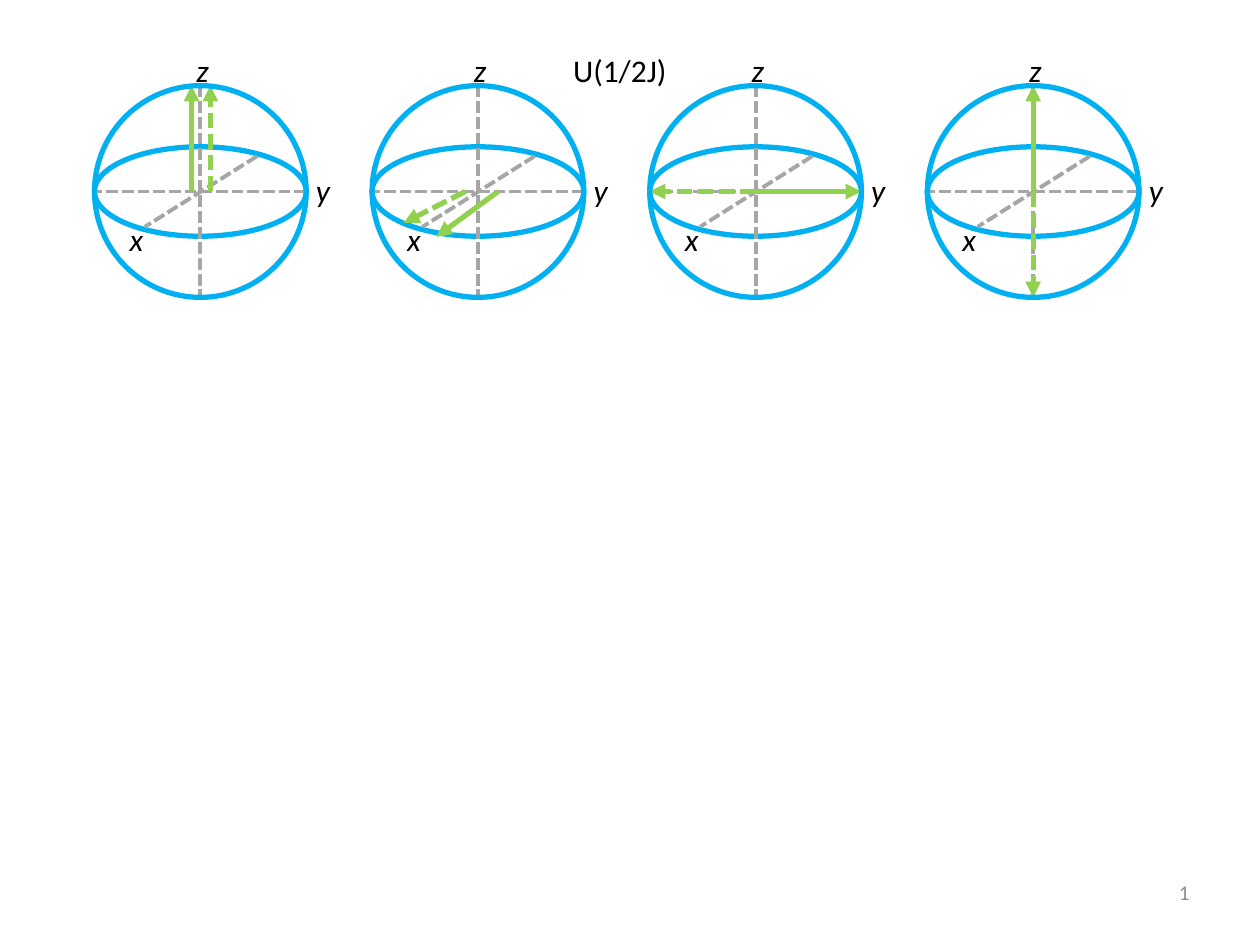
from lxml import etree
from pptx import Presentation
from pptx.dml.color import RGBColor
from pptx.enum.dml import MSO_LINE
from pptx.enum.shapes import MSO_CONNECTOR, MSO_SHAPE
from pptx.enum.text import MSO_ANCHOR, PP_ALIGN
from pptx.oxml.ns import qn
from pptx.util import Inches, Pt

OVAL = MSO_SHAPE.OVAL
STRAIGHT = MSO_CONNECTOR.STRAIGHT
DASH = MSO_LINE.SQUARE_DOT  # written to the file as sysDash
TOP, MIDDLE = MSO_ANCHOR.TOP, MSO_ANCHOR.MIDDLE
LEFT, RIGHT = PP_ALIGN.LEFT, PP_ALIGN.RIGHT

BLUE, GREEN, GRAY, BLACK, PALE = "00B0F0", "92D050", "A6A6A6", "000000", "8C8C8C"

FIRST_CENTER, LAST_CENTER, CENTER_Y = 1.59, 8.2, 1.52
RADIUS, EQUATOR_RADIUS = 0.84, 0.355

# Lines run from (x, y) to (x, y), measured from the centre of the sphere.
AXES = [
    (0, -RADIUS, 0, 0.82),
    (RADIUS, 0, -0.83, 0),
    (0.45, -0.28, -0.44, 0.28),
]
# One pair for each sphere: the solid vector, then the dashed one.
VECTORS = [
    [(-0.07, 0, -0.07, -RADIUS), (0.08, 0, 0.08, -RADIUS)],
    [(0.16, 0, -0.33, 0.36), (-0.1, 0, -0.59, 0.25)],
    [(0, 0, RADIUS, 0), (0, 0, -RADIUS, 0)],
    [(0, 0, 0, -RADIUS), (0, 0, 0, RADIUS)],
]
# Top left corner of each axis letter, measured from the centre of the sphere.
LETTERS = {"x": (-0.66, 0.18), "y": (0.82, -0.21), "z": (-0.13, -1.16)}


def add_line(group, center_x, ends, color, width, dashed=False, arrow=False):
    x1, y1, x2, y2 = ends
    line = group.shapes.add_connector(
        STRAIGHT,
        Inches(center_x + x1), Inches(CENTER_Y + y1),
        Inches(center_x + x2), Inches(CENTER_Y + y2),
    )
    line.line.color.rgb = RGBColor.from_string(color)
    line.line.width = Pt(width)
    if dashed:
        line.line.dash_style = DASH
    if arrow:
        etree.SubElement(line.line._get_or_add_ln(), qn("a:tailEnd"), type="triangle")
    etree.SubElement(line._element.spPr, qn("a:effectLst"))


def add_text(text, left, top, width, height, size=18, color=BLACK,
             italic=False, align=LEFT, anchor=TOP, wrap=True):
    box = slide.shapes.add_textbox(
        Inches(left), Inches(top), Inches(width), Inches(height))
    box.text_frame.word_wrap = wrap
    box.text_frame.vertical_anchor = anchor
    para = box.text_frame.paragraphs[0]
    para.alignment = align
    span = para.add_run()
    span.text = text
    font_format = {"name": "Calibri", "size": Pt(size), "italic": italic}
    for name, value in font_format.items():
        setattr(span.font, name, value)
    span.font.color.rgb = RGBColor.from_string(color)


deck = Presentation()
deck.slide_width, deck.slide_height = Inches(10), Inches(7.5)
slide = deck.slides.add_slide(deck.slide_layouts[6])

add_text("1", 7.36, 6.82, 2.18, 0.52, size=12, color=PALE, align=RIGHT, anchor=MIDDLE)

pitch = (LAST_CENTER - FIRST_CENTER) / (len(VECTORS) - 1)
for column, (solid, dashed) in enumerate(VECTORS):
    center_x = FIRST_CENTER + column * pitch
    sphere = slide.shapes.add_group_shape()

    outlines = []
    for half_height in (EQUATOR_RADIUS, RADIUS):
        outline = sphere.shapes.add_shape(
            OVAL,
            Inches(center_x - RADIUS), Inches(CENTER_Y - half_height),
            Inches(2 * RADIUS), Inches(2 * half_height),
        )
        outline.shadow.inherit = False
        outline.fill.background()
        outline.line.color.rgb = RGBColor.from_string(BLUE)
        outline.line.width = Pt(3)
        outlines.append(outline)

    for axis in AXES:
        add_line(sphere, center_x, axis, GRAY, 2.25, dashed=True)
    add_line(sphere, center_x, solid, GREEN, 3, arrow=True)
    add_line(sphere, center_x, dashed, GREEN, 3, dashed=True, arrow=True)

    # The outer circle lies in front of the axes and vectors.
    sphere._element.append(outlines[-1]._element)

    for letter, (dx, dy) in LETTERS.items():
        add_text(letter, center_x + dx, CENTER_Y + dy, 0.37, 0.4, italic=True)

add_text("U(1/2J)", 4.45, 0.36, 0.95, 0.4, wrap=False)

deck.save("out.pptx")
